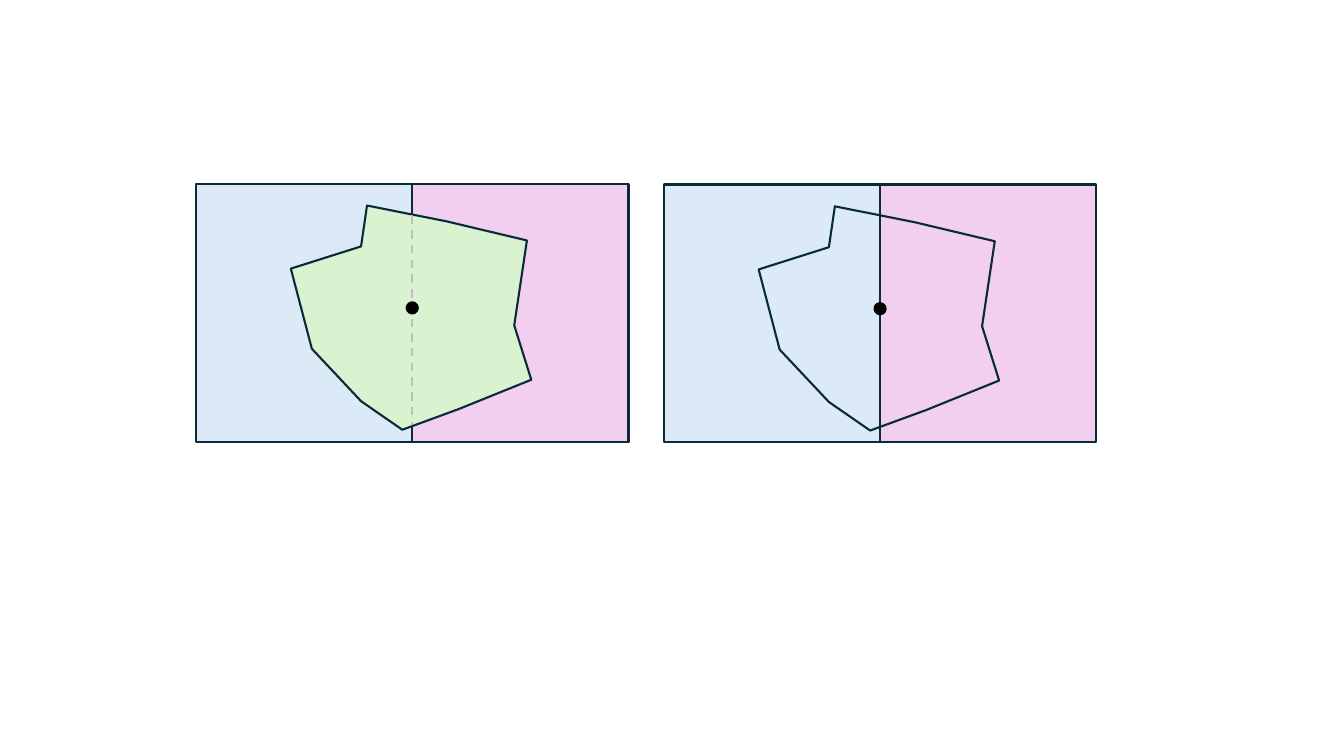
from lxml.etree import SubElement
from pptx import Presentation
from pptx.dml.color import RGBColor
from pptx.enum.dml import MSO_LINE
from pptx.enum.shapes import MSO_CONNECTOR, MSO_SHAPE
from pptx.oxml.ns import qn
from pptx.util import Cm, Pt

HUES = {
    "blue": "DCEAF7",
    "pink": "F2CFEE",
    "green": "D9F2D0",
    "ink": "092A39",
    "gray": "BFBFBF",
    "black": "000000",
}
HALF, HIGH, DOT = 5.45, 6.5, 0.28
AREA = [
    (4.31, 0.55), (4.16, 1.58), (2.39, 2.14), (2.92, 4.16),
    (4.16, 5.48), (5.2, 6.2), (6.62, 5.68), (8.45, 4.94),
    (8.02, 3.57), (8.34, 1.43), (6.32, 0.95),
]


def color(name):
    return RGBColor.from_string(HUES[name])


def paint(shape, fill, line):
    shape.shadow.inherit = False
    if fill:
        shape.fill.solid()
        shape.fill.fore_color.rgb = color(fill)
    else:
        shape.fill.background()
    shape.line.color.rgb = color(line)
    shape.line.width = Pt(1.5)


def add_area(shapes, left, top, fill):
    points = [(Cm(left + x), Cm(top + y)) for x, y in AREA]
    form = shapes.build_freeform(*points[0])
    form.add_line_segments(points[1:], close=True)
    paint(form.convert_to_shape(), fill, "ink")


def add_dash(shapes, x, start, end):
    dash = shapes.add_connector(
        MSO_CONNECTOR.STRAIGHT, Cm(x), Cm(start), Cm(x), Cm(end))
    dash.line.color.rgb = color("gray")
    dash.line.width = Pt(1.5)
    dash.line.dash_style = MSO_LINE.DASH
    SubElement(dash._element.spPr, qn("a:effectLst"))


def add_panel(shapes, left, top, fill=None):
    for col, hue in enumerate(("blue", "pink")):
        side = shapes.add_shape(
            MSO_SHAPE.RECTANGLE, Cm(left + col * HALF), Cm(top),
            Cm(HALF), Cm(HIGH))
        paint(side, hue, "ink")
    add_area(shapes, left, top, fill)
    mid = left + HALF
    if fill:
        add_dash(shapes, mid, top + 0.8, top + 6.08)
    dot = shapes.add_shape(
        MSO_SHAPE.OVAL, Cm(mid - DOT / 2), Cm(top + 3.13 - DOT / 2),
        Cm(DOT), Cm(DOT))
    paint(dot, "black", "black")


def main():
    deck = Presentation()
    deck.slide_width, deck.slide_height = Cm(33.87), Cm(19.05)
    slide = deck.slides.add_slide(deck.slide_layouts[6])
    add_panel(slide.shapes, 4.94, 4.63, "green")
    add_panel(slide.shapes, 16.73, 4.65)
    deck.save("out.pptx")


if __name__ == "__main__":
    main()
